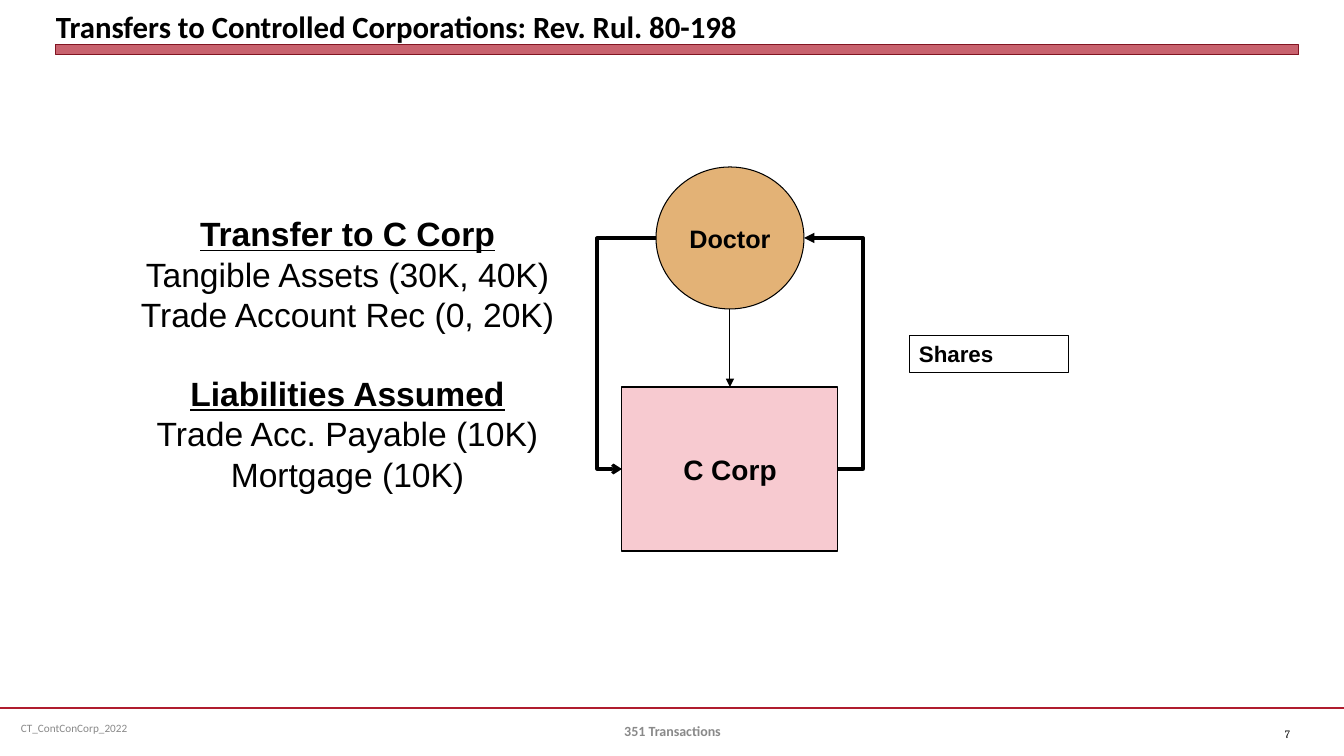
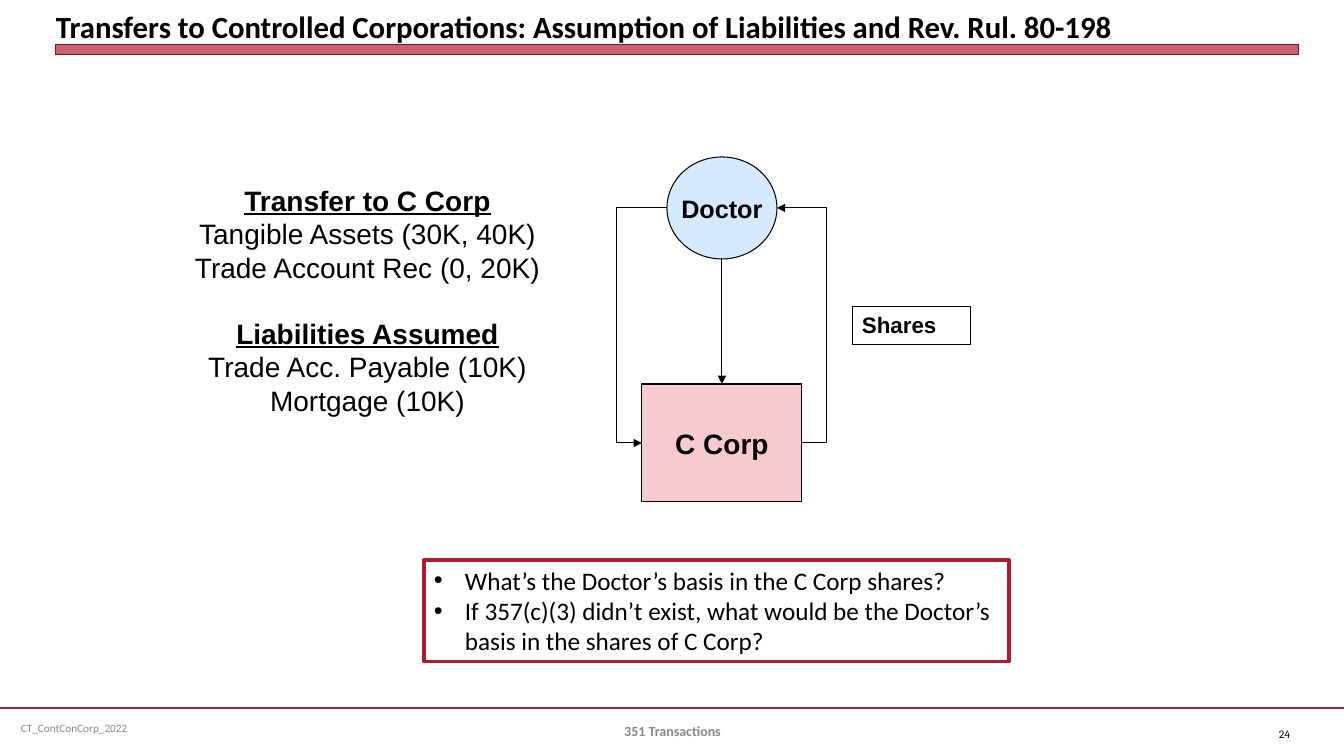
import pptx
import pptx.dml.color
import pptx.enum.shapes
import pptx.enum.text
import pptx.oxml
import pptx.oxml.ns
import pptx.util

SHAPE = pptx.enum.shapes.MSO_SHAPE
CONNECTOR = pptx.enum.shapes.MSO_CONNECTOR
ALIGN = pptx.enum.text.PP_ALIGN
ANCHOR = pptx.enum.text.MSO_ANCHOR
BLACK, GREY, RED, DARK_RED, PINK = "000000", "898989", "B01C2E", "821522", "F7CAD0"
BULLET_INDENT = 31


def px(length):
    return round(length * 914400 / 100.8)


def color(value):
    return pptx.dml.color.RGBColor.from_string(value)


def add_xml(parent, tag, **attributes):
    element = pptx.oxml.parse_xml(f"<a:{tag} {pptx.oxml.ns.nsdecls('a')}/>")
    for name, value in attributes.items():
        element.set(name, str(value))
    parent.append(element)


class Deck:
    """Holds the shared style and draws on the current slide."""

    def __init__(self):
        self.show = pptx.Presentation()
        self.show.slide_width, self.show.slide_height = px(1344), px(756)

    def new_slide(self, title, number):
        self.slide = self.show.slides.add_slide(self.show.slide_layouts[6])
        self.arrow((0, 708), (1344, 708), 1.25, tint=RED, head=None)
        self.text((11, 708, 347, 40), ["CT_ContConCorp_2022"], 8, "Calibri", GREY)
        band = self.shape(SHAPE.RECTANGLE, (56, 45, 1243, 10), RED, DARK_RED, 0)
        band_fill = band._element.spPr.find(pptx.oxml.ns.qn("a:solidFill"))
        add_xml(band_fill[0], "alpha", val=69000)
        self.text((56, 5, 1243, 40), [title], 22, "Calibri", bold=True,
                  anchor=ANCHOR.BOTTOM, inset=0)
        self.text((1233, 714, 67, 40), [number], 8, "Cambria", align=ALIGN.RIGHT)
        self.text((460, 711, 425, 40), ["351 Transactions"], 10, "Calibri", GREY,
                  bold=True, align=ALIGN.CENTER)

    def set_lines(self, frame, lines, size, font="Arial", tint=BLACK, bold=False,
                  align=ALIGN.LEFT, anchor=ANCHOR.MIDDLE, wrap=True):
        frame.word_wrap, frame.vertical_anchor = wrap, anchor
        for index, line in enumerate(lines):
            paragraph = frame.paragraphs[0] if index == 0 else frame.add_paragraph()
            paragraph.text, paragraph.alignment = line, align
            paragraph.font.size, paragraph.font.name = pptx.util.Pt(size), font
            paragraph.font.bold, paragraph.font.color.rgb = bold, color(tint)
        return frame.paragraphs

    def text(self, box, lines, size, font="Arial", tint=BLACK, inset=None, **style):
        frame = self.slide.shapes.add_textbox(*map(px, box)).text_frame
        if inset is not None:
            frame.margin_left = frame.margin_right = px(inset)
            frame.margin_top = frame.margin_bottom = px(inset)
        return self.set_lines(frame, lines, size, font, tint, **style)

    def shape(self, kind, box, fill, edge, weight):
        shape = self.slide.shapes.add_shape(kind, *map(px, box))
        shape.shadow.inherit = False
        if fill:
            shape.fill.solid()
            shape.fill.fore_color.rgb = color(fill)
        else:
            shape.fill.background()
        shape.line.color.rgb, shape.line.width = color(edge), pptx.util.Pt(weight)
        return shape

    def arrow(self, start, end, weight, bend=None, tint=BLACK, head="triangle"):
        kind = CONNECTOR.STRAIGHT if bend is None else CONNECTOR.ELBOW
        arrow = self.slide.shapes.add_connector(kind, *map(px, start + end))
        arrow.line.color.rgb, arrow.line.width = color(tint), pptx.util.Pt(weight)
        properties = arrow._element.spPr
        if head:
            add_xml(properties.find(pptx.oxml.ns.qn("a:ln")), "tailEnd", type=head)
        add_xml(properties, "effectLst")
        if bend is not None:
            share = round(100000 * (bend - start[0]) / (end[0] - start[0]))
            guides = properties.prstGeom.get_or_add_avLst()
            add_xml(guides, "gd", name="adj1", fmla=f"val {share}")

    def entity(self, kind, box, fill, name, size):
        shape = self.shape(kind, box, fill, BLACK, 0.75)
        self.set_lines(shape.text_frame, [name], size, bold=True,
                       align=ALIGN.CENTER, wrap=False)

    def structure(self, doctor, doctor_fill, corp, transfer, issue, head="triangle"):
        self.entity(SHAPE.OVAL, doctor, doctor_fill, "Doctor", 18)
        self.entity(SHAPE.RECTANGLE, corp, PINK, "C Corp", 20)
        doctor_left, doctor_top, doctor_width, doctor_height = doctor
        corp_left, corp_top, corp_width, corp_height = corp
        doctor_right, corp_right = doctor_left + doctor_width, corp_left + corp_width
        middle = corp_left + corp_width // 2
        doctor_y, corp_y = doctor_top + doctor_height // 2, corp_top + corp_height // 2
        self.arrow((middle, doctor_top + doctor_height), (middle, corp_top), 0.75)
        self.arrow((doctor_left, doctor_y), (corp_left, corp_y), transfer,
                   corp_left - 25, head=head)
        self.arrow((corp_right, corp_y), (doctor_right, doctor_y), issue, corp_right + 25)

    def shares(self, box):
        label = self.shape(SHAPE.RECTANGLE, box, None, BLACK, 0.5)
        self.set_lines(label.text_frame, ["Shares"], 16, bold=True)

    def terms(self, box, size):
        lines = ["Transfer to C Corp", "Tangible Assets (30K, 40K)",
                 "Trade Account Rec (0, 20K)", "Liabilities Assumed",
                 "Trade Acc. Payable (10K)", "Mortgage (10K)"]
        paragraphs = self.text(box, lines, size, align=ALIGN.CENTER)
        for heading in (paragraphs[0], paragraphs[3]):
            heading.font.bold = heading.font.underline = True
        paragraphs[3].space_before = pptx.util.Pt(round(size * 1.15, 1))

    def questions(self, box, lines):
        frame = self.shape(SHAPE.RECTANGLE, box, None, RED, 2.25).text_frame
        for paragraph in self.set_lines(frame, lines, 18, "Calibri", anchor=ANCHOR.TOP):
            properties = paragraph._p.get_or_add_pPr()
            properties.set("marL", str(px(BULLET_INDENT)))
            properties.set("indent", str(-px(BULLET_INDENT)))
            bullet_font = properties.find(pptx.oxml.ns.qn("a:defRPr"))
            add_xml(properties, "buFont", typeface="Arial")
            add_xml(properties, "buChar", char="•")
            properties.append(bullet_font)


deck = Deck()

deck.new_slide("Transfers to Controlled Corporations: Rev. Rul. 80-198", "7")
deck.structure((656, 167, 148, 142), "E3B276", (622, 387, 216, 164), 2.25, 2.5, "arrow")
deck.shares((909, 335, 159, 37))
deck.terms((116, 206, 463, 295), 24)

deck.new_slide("Transfers to Controlled Corporations: "
               "Assumption of Liabilities and Rev. Rul. 80-198", "24")
deck.structure((667, 157, 110, 102), "D6EAFF", (642, 384, 160, 118), 0.75, 0.75)
deck.shares((852, 306, 118, 38))
deck.terms((136, 173, 463, 254), 20)
deck.questions((424, 560, 585, 102), [
    "What’s the Doctor’s basis in the C Corp shares?",
    "If 357(c)(3) didn’t exist, what would be the Doctor’s basis in the shares of C Corp?"])

deck.show.save("out.pptx")
